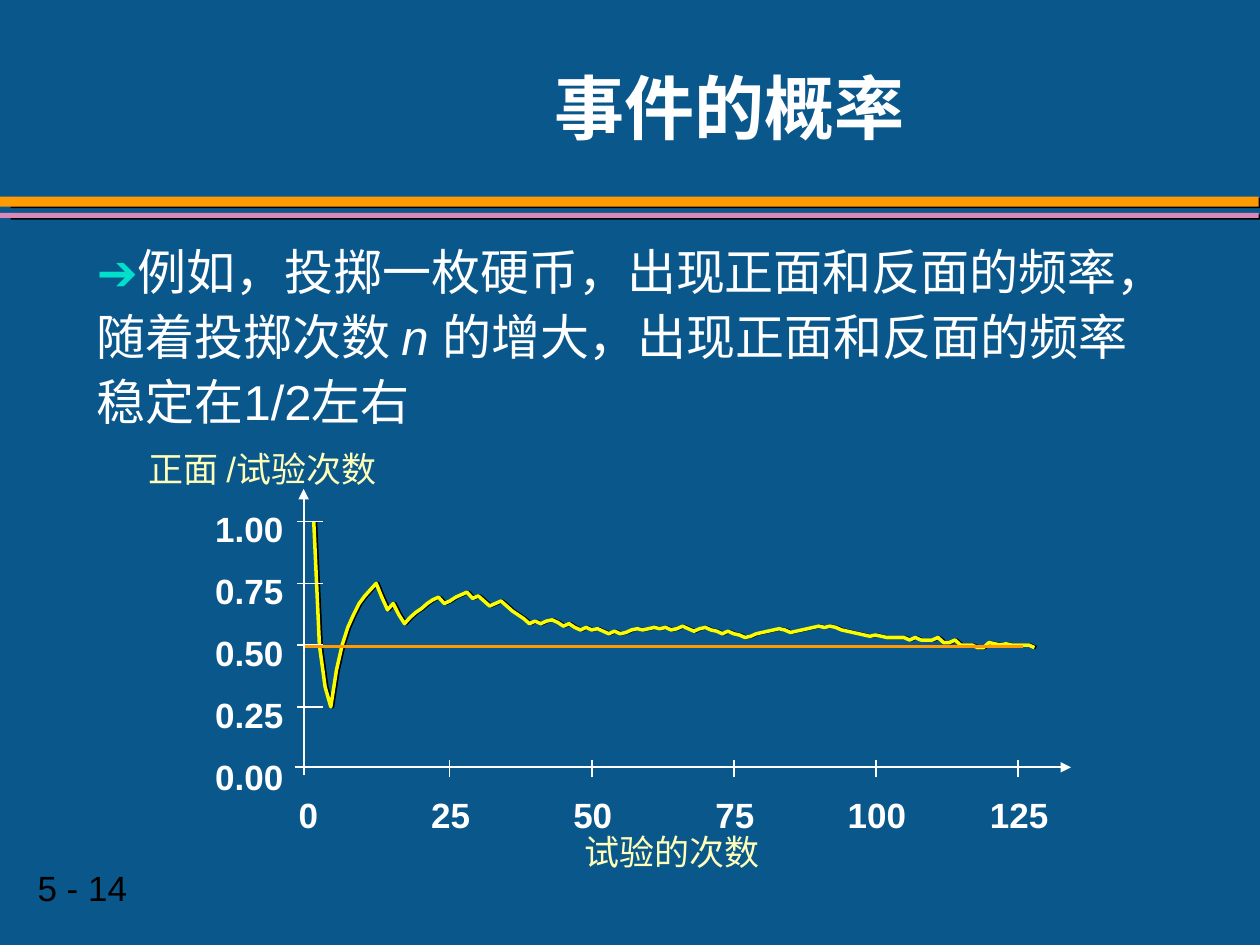
import pptx
import pptx.dml.color
import pptx.enum.shapes
import pptx.enum.text
import pptx.oxml
import pptx.oxml.ns
import pptx.util
from dataclasses import dataclass

Inches = pptx.util.Inches
Pt = pptx.util.Pt
RGB = pptx.dml.color.RGBColor.from_string
Align = pptx.enum.text.PP_ALIGN
Fit = pptx.enum.text.MSO_AUTO_SIZE


@dataclass(frozen=True)
class Theme:
    background: str = "0A578C"
    text: str = "FFFFFF"
    caption: str = "FFFFB9"
    bullet: str = "00DFCA"
    orange: str = "FE9B03"
    pink: str = "D989B8"
    curve: str = "FAFD00"
    dark: str = "000000"
    font: str = "Arial"
    title_font: str = "Vollkorn"
    title_size: int = 40
    body_size: int = 28
    label_size: int = 20


theme = Theme()
prs = pptx.Presentation()
prs.slide_width, prs.slide_height = Inches(10), Inches(7.5)
s = prs.slides.add_slide(prs.slide_layouts[5])
s.background.fill.solid()
s.background.fill.fore_color.rgb = RGB(theme.background)


def add_label(text, x, y, w, color, bold=False, align=Align.LEFT, wrap=False, before=0):
    sp = s.shapes.add_textbox(Inches(x), Inches(y), Inches(w), Inches(0.43))
    tf = sp.text_frame
    tf.word_wrap = wrap
    tf.auto_size = Fit.SHAPE_TO_FIT_TEXT
    tf.text = text
    p = tf.paragraphs[0]
    p.alignment = align
    p.space_before = Pt(before)
    font = p.runs[0].font
    font.name, font.size, font.bold = theme.font, Pt(theme.label_size), bold
    font.color.rgb = RGB(color)


def set_effects(sp, distance=None, angle=0):
    """Give a shape a hard shadow, or none when distance is left out."""
    spPr = sp._element.spPr
    effects = pptx.oxml.parse_xml(f'<a:effectLst {pptx.oxml.ns.nsdecls("a")}/>')
    if distance is not None:
        effects.append(pptx.oxml.parse_xml(
            f'<a:outerShdw {pptx.oxml.ns.nsdecls("a")} blurRad="0" dist="{Pt(distance)}" '
            f'dir="{angle * 60000}" algn="ctr" rotWithShape="0">'
            f'<a:srgbClr val="{theme.dark}"/></a:outerShdw>'))
    spPr.append(effects)


# Bars under the title
for y, h, color in [(1.56, 0.08, theme.orange), (1.69, 0.04, theme.pink)]:
    sp = s.shapes.add_shape(pptx.enum.shapes.MSO_SHAPE.RECTANGLE,
                            0, Inches(y), Inches(9.99), Inches(h))
    sp.fill.solid()
    sp.fill.fore_color.rgb = RGB(color)
    sp.line.fill.background()
    set_effects(sp, 6.1, 9)

# Page number
add_label("5 - 14", 0.2, 6.83, 1.87, theme.dark)

# Title
title = s.shapes.title
title.left, title.top = Inches(2.08), Inches(0.25)
title.width, title.height = Inches(7.42), Inches(1.25)
tf = title.text_frame
tf.auto_size = Fit.NONE
tf.vertical_anchor = pptx.enum.text.MSO_ANCHOR.MIDDLE
tf.text = "事件的概率"
p = tf.paragraphs[0]
p.alignment, p.line_spacing = Align.CENTER, 0.95
font = p.runs[0].font
font.name, font.size, font.bold = theme.title_font, Pt(theme.title_size), True
font.color.rgb = RGB(theme.text)

# Body: one list of runs per paragraph
body = [
    ["➔", "例如，投掷一枚硬币，出现正面和反面的频率，"],
    ["随着投掷次数 ", "n ", "的增大，出现正面和反面的频率"],
    ["稳定在1/2左右"],
]
sp = s.shapes.add_textbox(Inches(0.67), Inches(1.92), Inches(8.75), Inches(1.67))
tf = sp.text_frame
tf.word_wrap = True
for i, texts in enumerate(body):
    p = tf.add_paragraph() if i else tf.paragraphs[0]
    p.alignment, p.line_spacing, p.space_before = Align.JUSTIFY, 0.9, Pt(7)
    pPr = p._p.get_or_add_pPr()
    pPr.set("marL", str(Inches(0.67)))
    pPr.set("indent", str(-Inches(0.67)))
    for text in texts:
        r = p.add_run()
        r.text = text
        r.font.name, r.font.size = theme.font, Pt(theme.body_size)
        r.font.italic = text == "n "
        r.font.color.rgb = RGB(theme.bullet if text == "➔" else theme.text)

# Axis captions
add_label("试验的次数", 4.08, 6.54, 2.51, theme.caption,
          align=Align.CENTER, wrap=True, before=12.5)
add_label("正面 /试验次数", 1.08, 3.5, 2.42, theme.caption, wrap=True, before=12.5)

# Axis labels and tick marks
lines = []
for i, text in enumerate(["1.00", "0.75", "0.50", "0.25", "0.00"]):
    add_label(text, 1.61, 3.98 + 0.4925 * i, 0.74, theme.text, bold=True)
    if i < 4:
        y = 4.14 + 0.49 * i
        lines.append((2.36, y, 2.56, y, theme.text, 1, False))
for i, text in enumerate(["0", "25", "50", "75", "100", "125"]):
    x = 2.44 + 1.128 * i
    w = 0.2 + 0.155 * len(text)
    add_label(text, x + 0.01 - w / 2, 6.25, w, theme.text, bold=True)
    if i:
        lines.append((x, 6.17, x, 6.03, theme.text, 1, False))

# Curve: heights in hundredths of an inch, one per toss
heights = [
    414, 512, 545, 561, 532, 512, 498, 488, 479, 473, 468, 463, 474, 484, 479, 488,
    495, 490, 486, 483, 479, 476, 474, 479, 477, 474, 472, 470, 475, 473, 477, 481,
    479, 477, 481, 485, 488, 491, 495, 493, 495, 493, 492, 494, 497, 495, 498, 500,
    498, 500, 499, 501, 503, 501, 503, 502, 500, 499, 500, 499, 498, 499, 498, 500,
    499, 497, 499, 501, 499, 498, 500, 501, 503, 501, 503, 504, 506, 505, 503, 502,
    501, 500, 499, 500, 502, 501, 500, 499, 498, 497, 498, 497, 498, 500, 501, 502,
    503, 504, 505, 504, 505, 506, 506, 506, 506, 508, 506, 508, 508, 508, 506, 510,
    510, 508, 512, 512, 512, 514, 514, 510, 511, 512, 511, 512, 512, 512, 512, 514,
]
step = 5.72 / (len(heights) - 1)
points = [(Inches(2.49 + step * i), Inches(h / 100)) for i, h in enumerate(heights)]
builder = s.shapes.build_freeform(*points[0])
builder.add_line_segments(points[1:], close=False)
sp = builder.convert_to_shape()
sp.fill.background()
sp.line.color.rgb = RGB(theme.curve)
sp.line.width = Pt(2)
set_effects(sp, 1)

# Ticks, the 0.50 line and the two axes
lines += [
    (2.41, 5.13, 8.12, 5.13, theme.orange, 2, False),
    (2.34, 6.09, 8.5, 6.09, theme.text, 1, True),
    (2.41, 6.15, 2.41, 3.88, theme.text, 1, True),
]
for x1, y1, x2, y2, color, width, arrow in lines:
    sp = s.shapes.add_connector(pptx.enum.shapes.MSO_CONNECTOR.STRAIGHT,
                                Inches(x1), Inches(y1), Inches(x2), Inches(y2))
    sp.line.color.rgb = RGB(color)
    sp.line.width = Pt(width)
    if arrow:
        sp.line._get_or_add_ln().append(pptx.oxml.parse_xml(
            f'<a:tailEnd {pptx.oxml.ns.nsdecls("a")} type="triangle"/>'))
    set_effects(sp)

prs.save("out.pptx")
